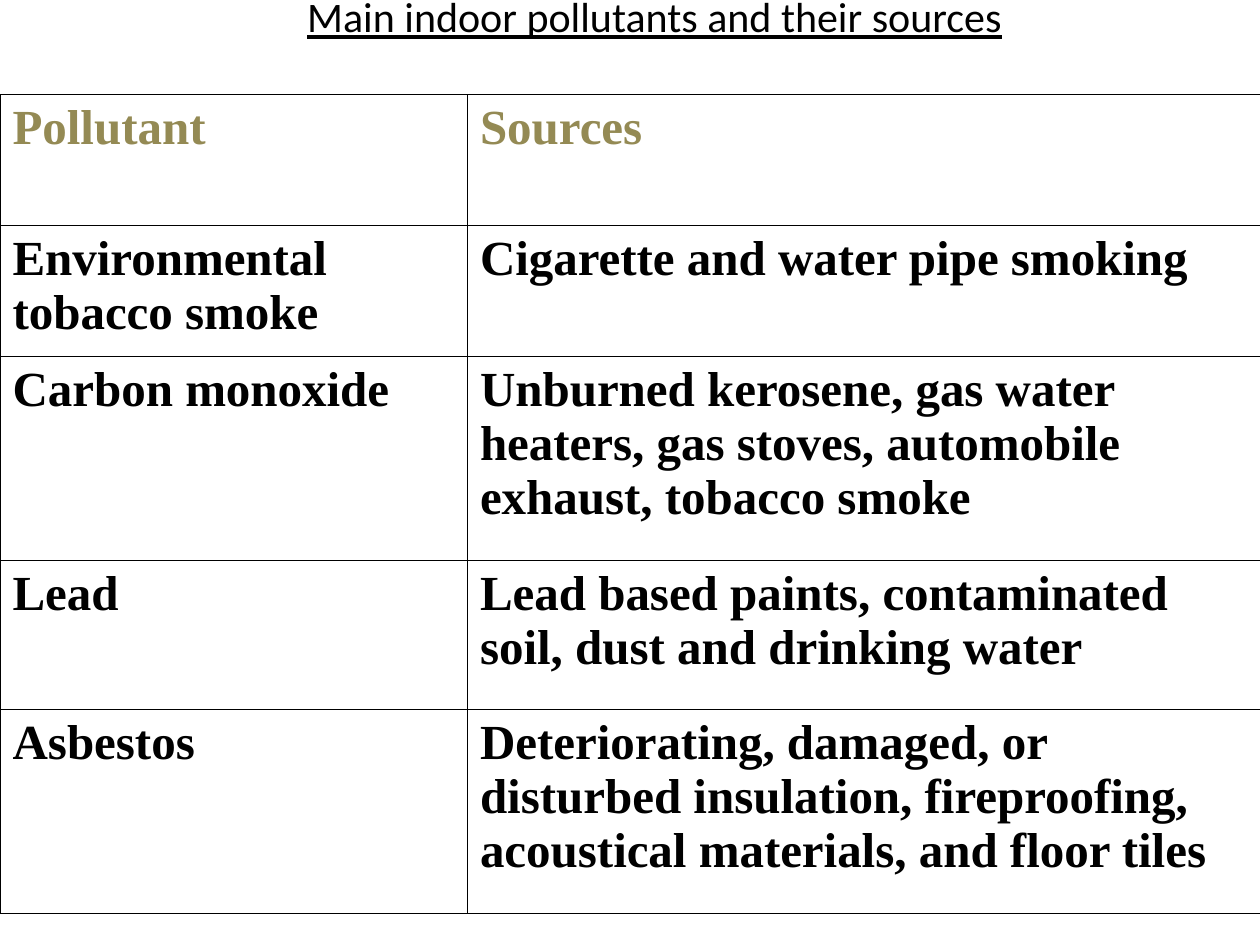
from dataclasses import dataclass

from lxml import etree
from pptx import Presentation
from pptx.dml.color import RGBColor
from pptx.enum.text import MSO_ANCHOR, PP_ALIGN
from pptx.oxml.ns import qn
from pptx.util import Inches, Pt

LEFT, CENTER = PP_ALIGN.LEFT, PP_ALIGN.CENTER
MIDDLE = MSO_ANCHOR.MIDDLE


@dataclass(frozen=True)
class Theme:
    ink: str = "000000"
    heading: str = "948A54"
    title_font: str = "Calibri"
    table_font: str = "Times New Roman"
    title_size: int = 24
    table_size: int = 28
    border_width: float = 0.45


theme = Theme()


def write_text(frame, text, *, font, size, color, bold=False, underline=False, align=LEFT):
    frame.word_wrap = True
    paragraph = frame.paragraphs[0]
    paragraph.alignment = align
    run = paragraph.add_run()
    run.text = text
    run.font.name = font
    run.font.size = Pt(size)
    run.font.bold = bold
    run.font.underline = underline
    run.font.color.rgb = RGBColor.from_string(color)


def add_borders(cell):
    properties = cell._tc.get_or_add_tcPr()
    for side in ("a:lnL", "a:lnR", "a:lnT", "a:lnB"):
        line = etree.SubElement(properties, qn(side), w=str(Pt(theme.border_width)))
        fill = etree.SubElement(line, qn("a:solidFill"))
        etree.SubElement(fill, qn("a:srgbClr"), val=theme.ink)


presentation = Presentation()
presentation.slide_width = Inches(10)
presentation.slide_height = Inches(7.5)
slide = presentation.slides.add_slide(presentation.slide_layouts[6])

title = slide.shapes.add_textbox(Inches(0.86), Inches(-0.5), Inches(8.67), Inches(1.25))
title.text_frame.vertical_anchor = MIDDLE
write_text(title.text_frame, "Main indoor pollutants and their sources", font=theme.title_font,
           size=theme.title_size, color=theme.ink, underline=True, align=CENTER)

rows = [
    (1.04, "Pollutant", "Sources"),
    (1.04, "Environmental tobacco smoke", "Cigarette and water pipe smoking"),
    (1.62, "Carbon monoxide",
     "Unburned kerosene, gas water heaters, gas stoves, automobile exhaust, tobacco smoke"),
    (1.18, "Lead", "Lead based paints, contaminated soil, dust and drinking water"),
    (1.62, "Asbestos",
     "Deteriorating, damaged, or disturbed insulation, fireproofing, "
     "acoustical materials, and floor tiles"),
]
column_widths = [3.71, 6.29]

table = slide.shapes.add_table(len(rows), len(column_widths), Inches(0), Inches(0.75),
                               Inches(10), Inches(6.5)).table
table.first_row = False
table.horz_banding = False
for column, width in zip(table.columns, column_widths):
    column.width = Inches(width)

for row_index, (height, *texts) in enumerate(rows):
    table.rows[row_index].height = Inches(height)
    color = theme.ink if row_index else theme.heading
    for column_index, text in enumerate(texts):
        cell = table.cell(row_index, column_index)
        add_borders(cell)
        cell.fill.background()
        write_text(cell.text_frame, text, font=theme.table_font,
                   size=theme.table_size, color=color, bold=True)

presentation.save("out.pptx")
